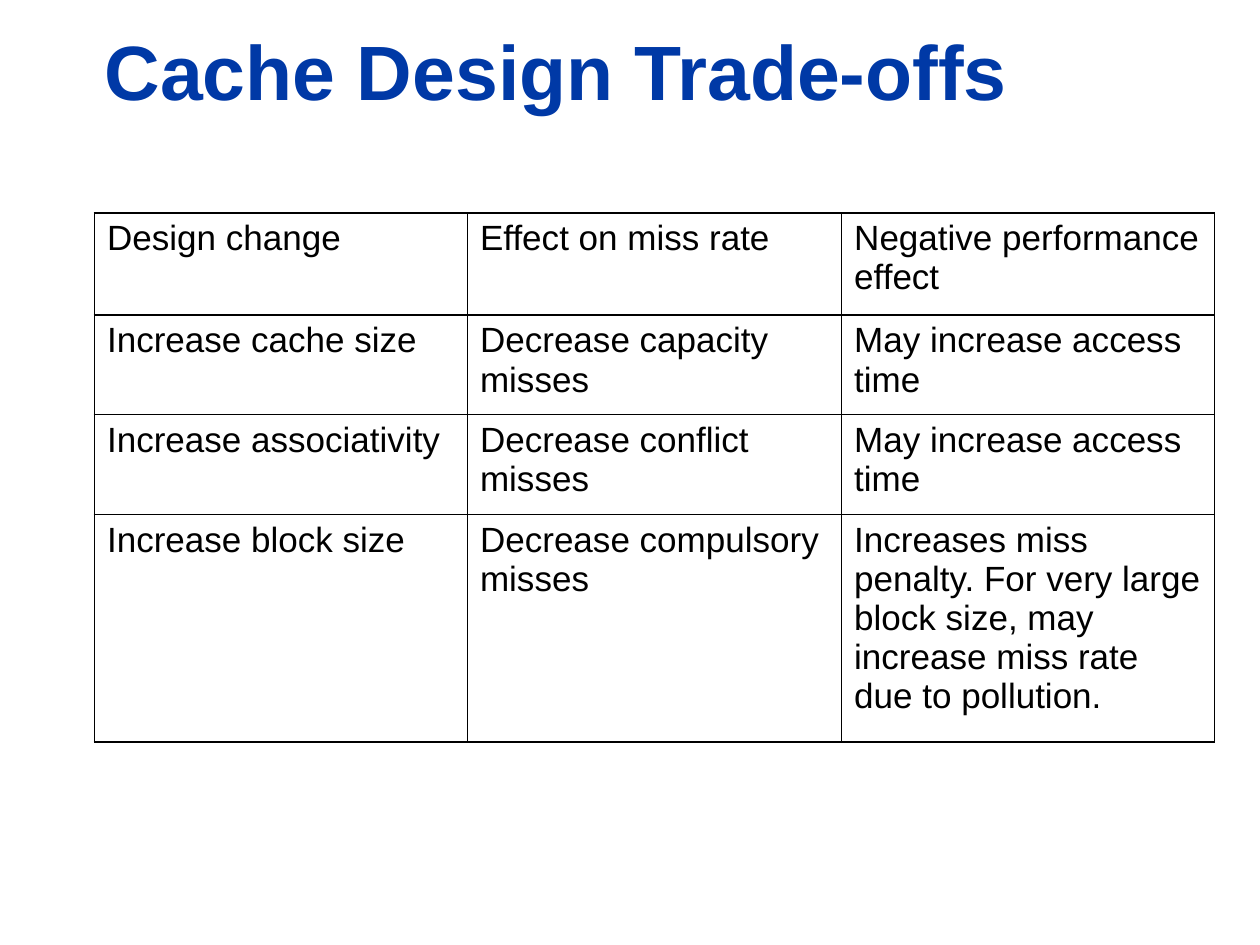
from pptx import Presentation
from pptx import util as u
from pptx.dml.color import RGBColor
from pptx.enum import text
from pptx.oxml import parse_xml
from pptx.oxml.ns import nsdecls

COLORS = {"title": "0039A6", "text": "000000", "border": "000000"}
OUTER, HEADER, INNER = 1.08, 0.75, 0.45
COLUMN_WIDTHS = [2.96, 2.97, 2.96]
ROW_HEIGHTS = [0.81, 0.79, 0.79, 1.81]
TRADE_OFFS = [
    ["Design change", "Effect on miss rate", "Negative performance effect"],
    ["Increase cache size", "Decrease capacity misses", "May increase access time"],
    ["Increase associativity", "Decrease conflict misses", "May increase access time"],
    ["Increase block size", "Decrease compulsory misses",
     "Increases miss penalty. For very large block size, "
     "may increase miss rate due to pollution."],
]


class SlideBuilder:
    """Holds the text style and the current slide, and adds elements to it."""

    def __init__(self, slide, font_name="Arial"):
        self.slide = slide
        self.font_name = font_name

    def style(self, paragraph, size, color, bold=False):
        paragraph.alignment = text.PP_ALIGN.LEFT
        font = paragraph.font
        font.name, font.size, font.bold = self.font_name, u.Pt(size), bold
        font.color.rgb = RGBColor.from_string(COLORS[color])

    def title(self, wording, left, top, width, height):
        shape = self.slide.shapes.title
        shape.left, shape.top = u.Inches(left), u.Inches(top)
        shape.width, shape.height = u.Inches(width), u.Inches(height)
        frame = shape.text_frame
        frame.text = wording
        frame.vertical_anchor = text.MSO_ANCHOR.BOTTOM
        frame.auto_size = text.MSO_AUTO_SIZE.NONE
        self.style(frame.paragraphs[0], 44, "title", bold=True)

    def borders(self, cell, widths):
        properties = cell._tc.get_or_add_tcPr()
        for index, (side, width) in enumerate(zip("LRTB", widths)):
            properties.insert(index, parse_xml(
                f'<a:ln{side} {nsdecls("a")} w="{u.Pt(width)}"><a:solidFill>'
                f'<a:srgbClr val="{COLORS["border"]}"/></a:solidFill></a:ln{side}>'))

    def table(self, rows, left, top, column_widths, row_heights):
        table = self.slide.shapes.add_table(
            len(rows), len(column_widths), u.Inches(left), u.Inches(top),
            u.Inches(sum(column_widths)), u.Inches(sum(row_heights))).table
        table.first_row = table.horz_banding = False
        for column, width in zip(table.columns, column_widths):
            column.width = u.Inches(width)
        for row, height in zip(table.rows, row_heights):
            row.height = u.Inches(height)
        vertical = [OUTER] + [INNER] * (len(column_widths) - 1) + [OUTER]
        horizontal = [OUTER, HEADER] + [INNER] * (len(rows) - 2) + [OUTER]
        for i, row in enumerate(rows):
            for j, wording in enumerate(row):
                cell = table.cell(i, j)
                cell.text = wording
                cell.fill.background()
                paragraph = cell.text_frame.paragraphs[0]
                paragraph.space_before = u.Pt(5)
                self.style(paragraph, 20, "text")
                self.borders(cell, vertical[j:j + 2] + horizontal[i:i + 2])


def main():
    presentation = Presentation()
    presentation.slide_width, presentation.slide_height = u.Inches(10), u.Inches(7.5)
    slide = presentation.slides.add_slide(presentation.slide_layouts[5])
    builder = SlideBuilder(slide)
    builder.title("Cache Design Trade-offs", 0.73, 0.13, 8.52, 0.84)
    builder.table(TRADE_OFFS, 0.75, 1.69, COLUMN_WIDTHS, ROW_HEIGHTS)
    presentation.save("out.pptx")


if __name__ == "__main__":
    main()
